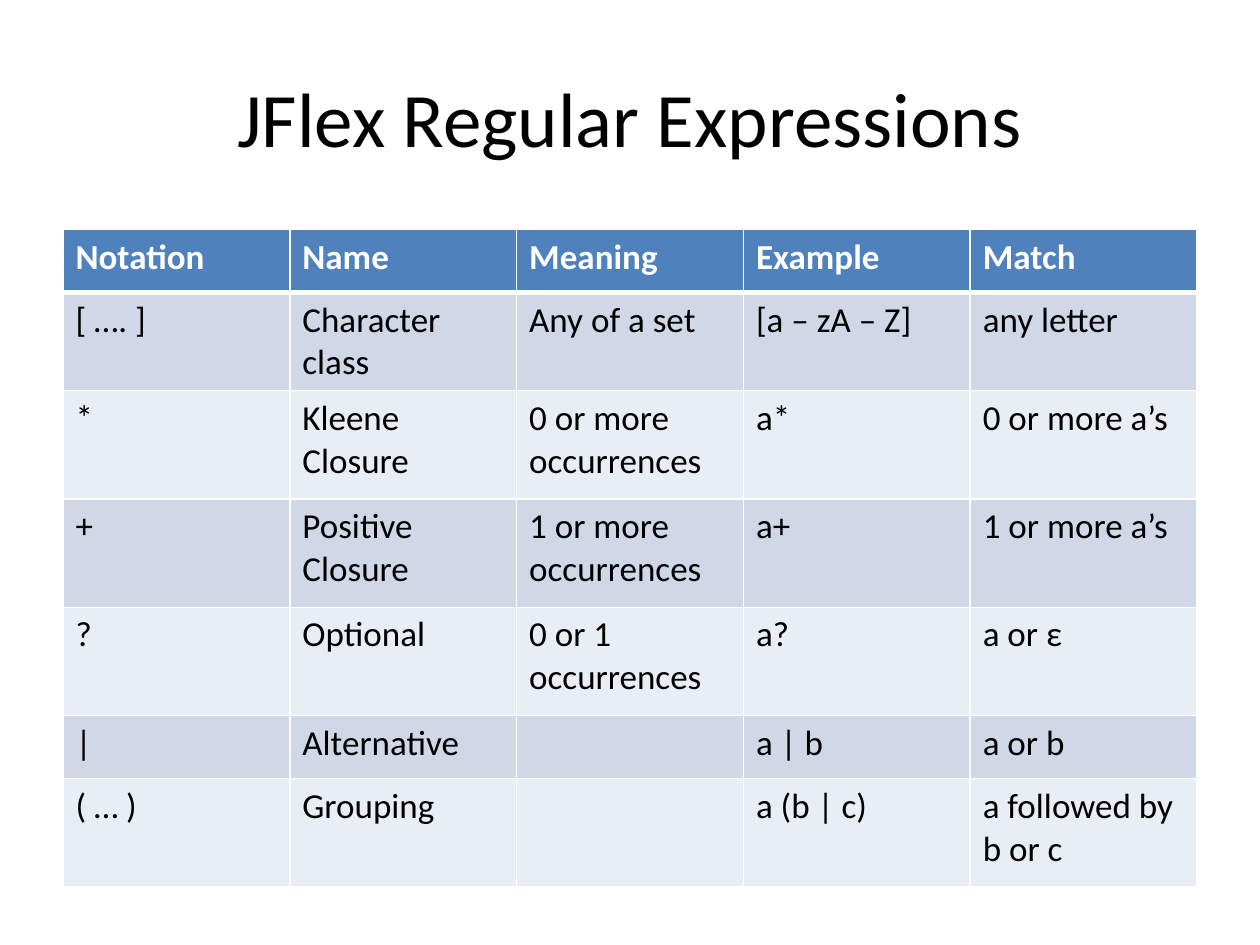
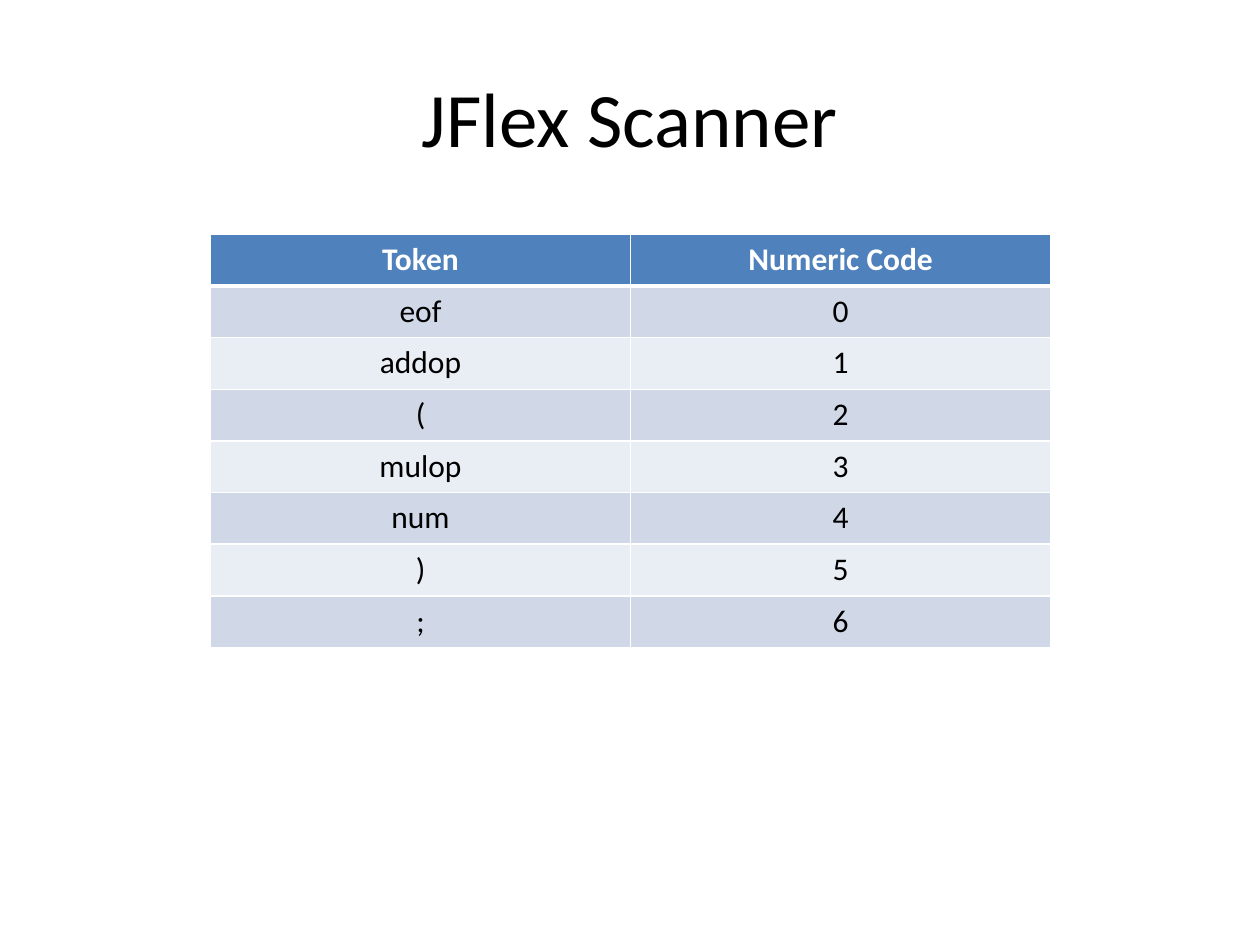
"""Build two slides on JFlex, each a title above a banded table."""
from dataclasses import dataclass
from lxml.etree import SubElement
from pptx import Presentation
from pptx.dml.color import RGBColor
from pptx.enum.text import MSO_ANCHOR, PP_ALIGN
from pptx.oxml.ns import qn
from pptx.util import Inches, Pt


@dataclass(frozen=True)
class Theme:
    face: str = "Calibri"
    ink: str = "000000"
    paper: str = "FFFFFF"
    head: str = "4F81BD"
    bands: tuple = ("D0D8E8", "E9EDF4")
    title: int = 44
    large: int = 20
    small: int = 18
    thin: int = 1
    thick: int = 3


THEME = Theme()

RULES = [
    ("Notation", "Name", "Meaning", "Example", "Match"),
    ("[ …. ]", "Character class", "Any of a set", "[a – zA – Z]", "any letter"),
    ("*", "Kleene Closure", "0 or more occurrences", "a*", "0 or more a’s"),
    ("+", "Positive Closure", "1 or more occurrences", "a+", "1 or more a’s"),
    ("?", "Optional", "0 or 1 occurrences", "a?", "a or ε"),
    ("|", "Alternative", "", "a | b", "a or b"),
    ("( … )", "Grouping", "", "a (b | c)", "a followed by b or c"),
]
RULE_ROWS = (0.5, 0.78, 0.86, 0.86, 0.86, 0.5, 0.86)

NAMES = ("eof", "addop", "(", "mulop", "num", ")", ";")
TOKENS = [("Token", "Numeric Code")]
TOKENS += [(name, str(code)) for code, name in enumerate(NAMES)]
TOKEN_ROWS = (0.41,) * len(TOKENS)


def write(frame, text, size, color=THEME.ink, bold=False, align=PP_ALIGN.LEFT):
    para = frame.paragraphs[0]
    para.alignment = align
    run = para.add_run()
    run.text = text
    style = {"name": THEME.face, "size": Pt(size), "bold": bold}
    for key, value in style.items():
        setattr(run.font, key, value)
    run.font.color.rgb = RGBColor.from_string(color)


def add_title(slide, text):
    box = slide.shapes.add_textbox(Inches(0.5), Inches(0.3), Inches(9), Inches(1.25))
    frame = box.text_frame
    style = {"word_wrap": True, "vertical_anchor": MSO_ANCHOR.MIDDLE}
    for key, value in style.items():
        setattr(frame, key, value)
    write(frame, text, THEME.title, align=PP_ALIGN.CENTER)


def edge(cell, row):
    props = cell._tc.get_or_add_tcPr()
    widths = {
        "lnL": THEME.thin,
        "lnR": THEME.thin,
        "lnT": THEME.thick if row == 1 else THEME.thin,
        "lnB": THEME.thick if row == 0 else THEME.thin,
    }
    for side, width in widths.items():
        line = SubElement(props, qn(f"a:{side}"), w=str(Pt(width)))
        fill = SubElement(line, qn("a:solidFill"))
        SubElement(fill, qn("a:srgbClr"), val=THEME.paper)


def paint(cell, row):
    color = THEME.bands[(row - 1) % 2] if row else THEME.head
    cell.fill.solid()
    cell.fill.fore_color.rgb = RGBColor.from_string(color)


def add_grid(slide, data, left, top, width, rows, size, align=PP_ALIGN.LEFT):
    count = len(data[0])
    shape = slide.shapes.add_table(
        len(data), count, Inches(left), Inches(top), Inches(width), Inches(sum(rows))
    )
    table = shape.table
    for col in table.columns:
        col.width = Inches(width / count)
    for row, (texts, height) in enumerate(zip(data, rows)):
        table.rows[row].height = Inches(height)
        color = THEME.ink if row else THEME.paper
        for col, text in enumerate(texts):
            cell = table.cell(row, col)
            edge(cell, row)
            paint(cell, row)
            if text:
                write(cell.text_frame, text, size, color, row == 0, align)


def add_slide(deck, title):
    slide = deck.slides.add_slide(deck.slide_layouts[6])
    add_title(slide, title)
    return slide


def main():
    deck = Presentation()
    deck.slide_width, deck.slide_height = Inches(10), Inches(7.5)
    slide = add_slide(deck, "JFlex Regular Expressions")
    add_grid(slide, RULES, 0.5, 1.82, 9, RULE_ROWS, THEME.large)
    slide = add_slide(deck, "JFlex Scanner")
    add_grid(slide, TOKENS, 1.67, 1.86, 6.67, TOKEN_ROWS, THEME.small, PP_ALIGN.CENTER)
    deck.save("out.pptx")


if __name__ == "__main__":
    main()
